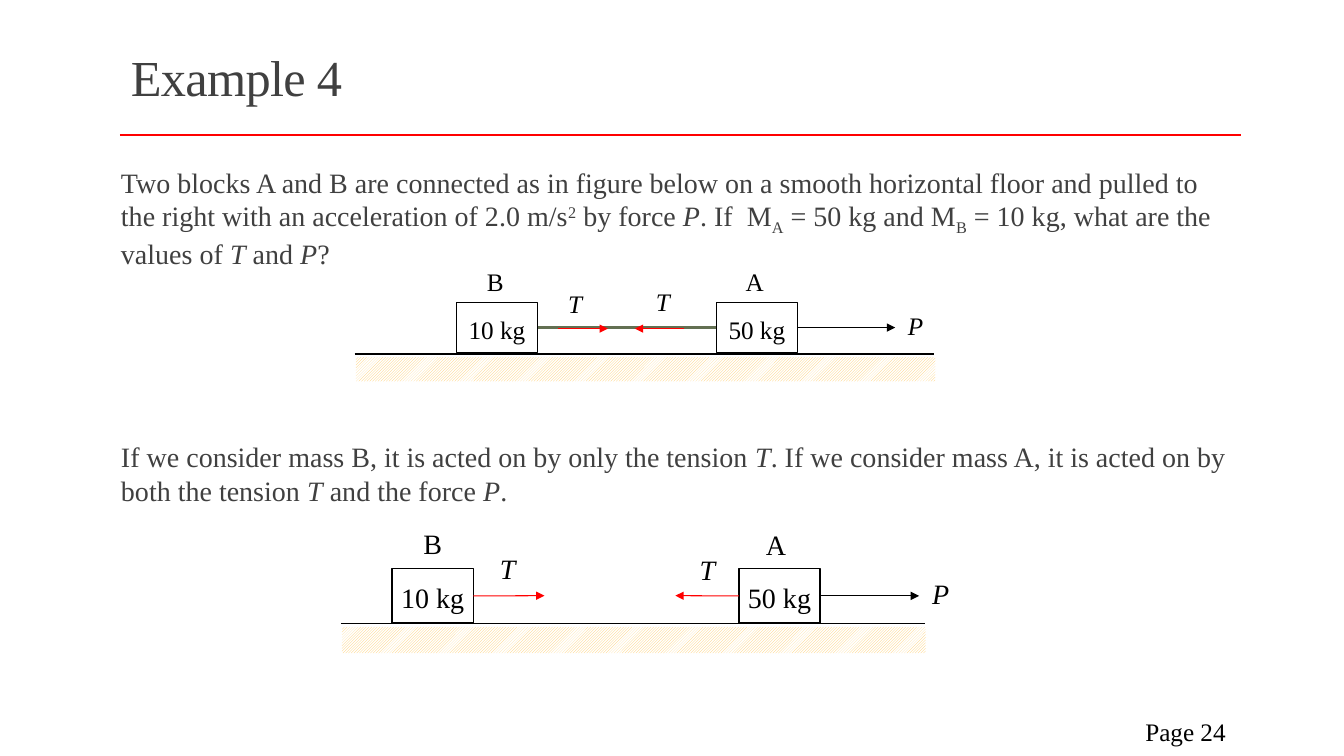
from lxml import etree
from pptx import Presentation
from pptx import util as u
from pptx.dml.color import RGBColor
from pptx.enum import dml, shapes, text
from pptx.oxml.ns import qn

COLORS = {"ink": "000000", "body": "404040", "red": "FF0000", "cord": "637052",
          "hatch": "FFCC66", "paper": "FFFFFF"}
LEFT, RIGHT = 1, 3


def color(name):
    """Return the named colour."""
    return RGBColor.from_string(COLORS[name])


class Slide:
    """Holds the text style and the current page, and draws on it."""

    def __init__(self, page, font="Times New Roman"):
        """Keep the page and its font."""
        self.page = page
        self.font = font

    def add_span(self, para, content, size, ink="ink", italic=False, baseline=0):
        """Add one styled run to a paragraph."""
        span = para.add_run()
        span.text = content
        span.font.name = self.font
        span.font.size = u.Pt(size)
        span.font.italic = italic
        span.font.color.rgb = color(ink)
        if baseline:
            span.font._element.set("baseline", str(baseline * 1000))
        return span

    def frame(self, box, insets, anchor=text.MSO_ANCHOR.TOP):
        """Set the wrapping, insets and anchor of a box."""
        frame = box.text_frame
        frame.word_wrap = True
        frame.vertical_anchor = anchor
        frame.margin_left = frame.margin_right = u.Cm(insets[0])
        frame.margin_top, frame.margin_bottom = u.Cm(insets[1]), u.Cm(insets[2])
        return frame

    def title(self, content, area):
        """Place and fill the title placeholder."""
        box = self.page.shapes.title
        box.left, box.top, box.width, box.height = map(u.Cm, area)
        para = self.frame(box, (0.25, 0.13, 0.13), text.MSO_ANCHOR.MIDDLE).paragraphs[0]
        para.alignment = text.PP_ALIGN.LEFT
        para.line_spacing = 0.85
        self.add_span(para, content, 36, "body").font._element.set("spc", "-50")

    def textbox(self, area, insets=(0.05, 0.03, 0.03), anchor=text.MSO_ANCHOR.TOP):
        """Add an empty text box and return its frame."""
        return self.frame(self.page.shapes.add_textbox(*map(u.Cm, area)), insets, anchor)

    def label(self, content, left, top, size):
        """Add a short label; force names are italic."""
        para = self.textbox((left, top, 1.1, 1)).paragraphs[0]
        self.add_span(para, content, size, italic=content in "TP")

    def rectangle(self, area):
        """Add a plain rectangle."""
        box = self.page.shapes.add_shape(shapes.MSO_SHAPE.RECTANGLE, *map(u.Cm, area))
        box.shadow.inherit = False
        return box

    def block(self, content, area, size):
        """Add an outlined block with its mass."""
        box = self.rectangle(area)
        box.fill.solid()
        box.fill.fore_color.rgb = color("paper")
        box.line.color.rgb = color("ink")
        box.line.width = u.Pt(1)
        para = self.frame(box, (0.1, 0.3, 0.13)).paragraphs[0]
        para.alignment = text.PP_ALIGN.CENTER
        self.add_span(para, content, size)
        return box

    def hatching(self, area):
        """Add the hatched band under the floor line."""
        box = self.rectangle(area)
        box.fill.patterned()
        box.fill.pattern = dml.MSO_PATTERN.LIGHT_UPWARD_DIAGONAL
        box.fill.fore_color.rgb = color("hatch")
        box.fill.back_color.rgb = color("paper")
        box.line.fill.background()

    def line(self, start, end, y, ink="ink", width=0.75, arrow=False, begin=None, finish=None):
        """Add a level line, with an optional arrowhead and joined ends."""
        line = self.page.shapes.add_connector(
            shapes.MSO_CONNECTOR.STRAIGHT, *map(u.Cm, (start, y, end, y)))
        line.line.color.rgb = color(ink)
        line.line.width = u.Pt(width)
        if arrow:
            outline = line._element.spPr.find(qn("a:ln"))
            etree.SubElement(outline, qn("a:tailEnd"), type="triangle")
        etree.SubElement(line._element.spPr, qn("a:effectLst"))
        if begin:
            line.begin_connect(*begin)
        if finish:
            line.end_connect(*finish)

    def floor(self, left, y, width, depth):
        """Add the floor line and its hatching."""
        self.line(left, left + width, y)
        self.hatching((left + 0.03, y + 0.08, width, depth))

    def blocks(self, lefts, top, height, force_end, size):
        """Add blocks B and A and the pulling force, and return both blocks."""
        block_b, block_a = [self.block(mass, (left, top, 2.05, height), size)
                            for mass, left in zip(("10 kg", "50 kg"), lefts)]
        self.line(lefts[1] + 2.05, force_end, top + height / 2, arrow=True,
                  begin=(block_a, RIGHT))
        return block_b, block_a


def main():
    """Build the slide."""
    deck = Presentation()
    deck.slide_width, deck.slide_height = u.Cm(33.87), u.Cm(19.05)
    slide = Slide(deck.slides.add_slide(deck.slide_layouts[5]))

    slide.line(3.02, 31.27, 3.4, "red", 2)
    slide.title("Example 4", (3.05, 0.79, 27.94, 2.49))

    question = [
        ("Two blocks A and B are connected as in figure below on a smooth horizontal floor "
         "and pulled to the right with an acceleration of 2.0 m/s", False, 0),
        ("2", False, 30), (" by force ", False, 0), ("P", True, 0), (". If  M", False, 0),
        ("A", False, -25), (" = 50 kg and M", False, 0), ("B", False, -25),
        (" = 10 kg, what are the values of ", False, 0), ("T", True, 0),
        (" and ", False, 0), ("P", True, 0), ("?", False, 0)]
    answer = [
        ("If we consider mass B, it is acted on by only the tension ", False, 0),
        ("T", True, 0),
        (". If we consider mass A, it is acted on by both the tension ", False, 0),
        ("T", True, 0), (" and the force ", False, 0), ("P", True, 0), (".", False, 0)]
    body = slide.textbox((3.05, 4.03, 28, 13), (0, 0.13, 0.13))
    reasoning = body.add_paragraph()
    reasoning.space_before = u.Pt(121)
    for para, spans in ((body.paragraphs[0], question), (reasoning, answer)):
        for content, italic, baseline in spans:
            slide.add_span(para, content, 20, "body", italic, baseline)

    page_number = slide.textbox((27.51, 17.93, 3.63, 1.02), (0.25, 0.13, 0.13),
                                text.MSO_ANCHOR.MIDDLE).paragraphs[0]
    page_number.alignment = text.PP_ALIGN.RIGHT
    slide.add_span(page_number, "Page 24", 18)

    slide.floor(8.94, 8.92, 14.6, 0.61)
    block_b, block_a = slide.blocks((11.5, 18.05), 7.62, 1.27, 22.56, 18)
    slide.line(13.55, 18.05, 8.26, "cord", 1.75, begin=(block_b, RIGHT), finish=(block_a, LEFT))
    slide.line(14.07, 15.32, 8.28, "red", arrow=True)
    slide.line(17.25, 16, 8.28, "red", arrow=True)

    slide.floor(8.59, 15.72, 14.71, 0.66)
    block_b, block_a = slide.blocks((9.88, 18.62), 14.33, 1.37, 23.16, 20)
    slide.line(11.93, 13.72, 15.01, "red", arrow=True, begin=(block_b, RIGHT))
    slide.line(18.62, 17.02, 15.01, "red", arrow=True, begin=(block_a, LEFT))

    labels = {
        18: [("B", 12.22, 6.68), ("A", 18.74, 6.68), ("T", 14.27, 7.24),
             ("T", 16.48, 7.19), ("P", 22.83, 7.8)],
        20: [("B", 10.62, 13.24), ("A", 19.25, 13.26), ("T", 12.55, 13.87),
             ("T", 17.58, 13.89), ("P", 23.44, 14.5)]}
    for size, places in labels.items():
        for content, left, top in places:
            slide.label(content, left, top, size)

    deck.save("out.pptx")


if __name__ == "__main__":
    main()
